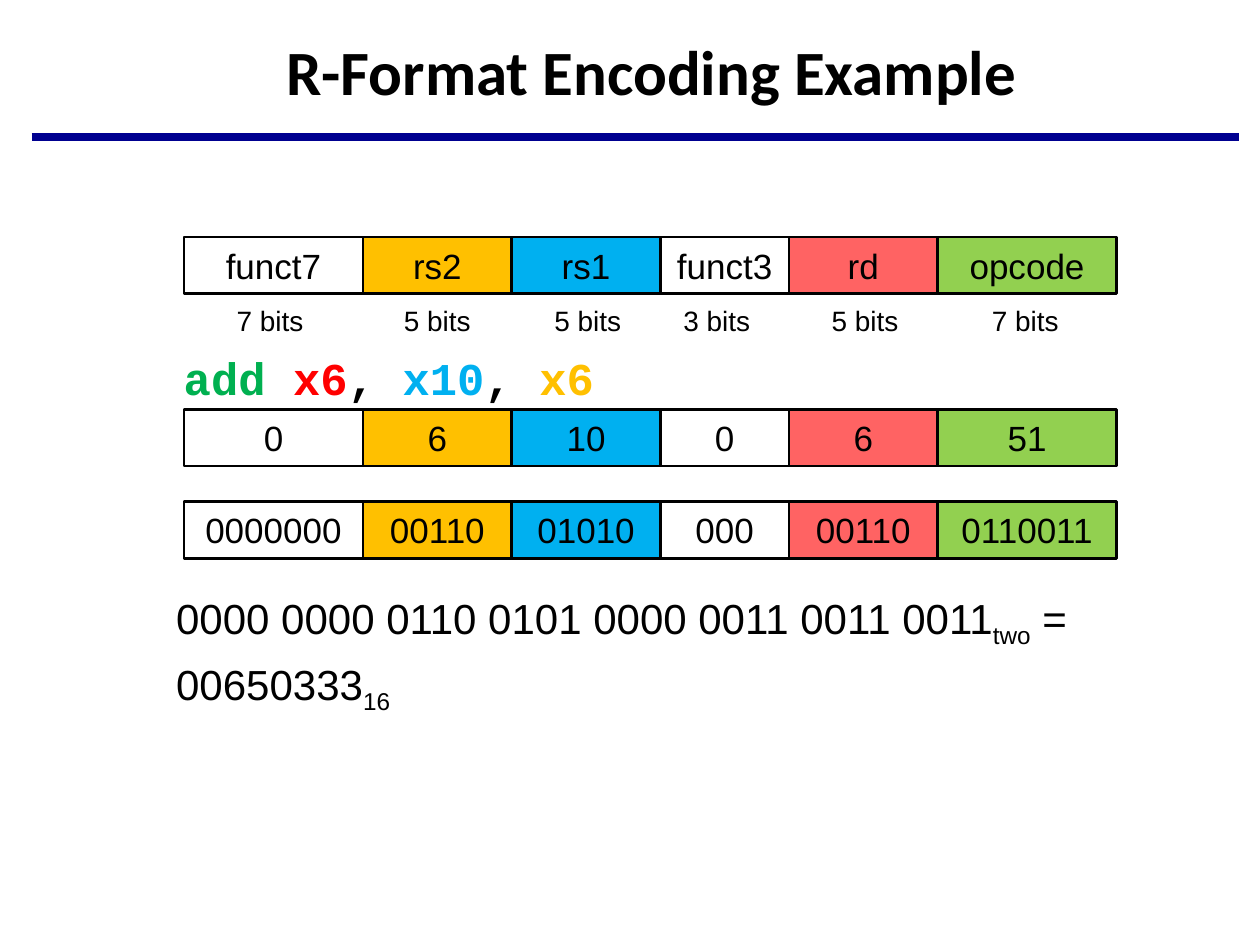
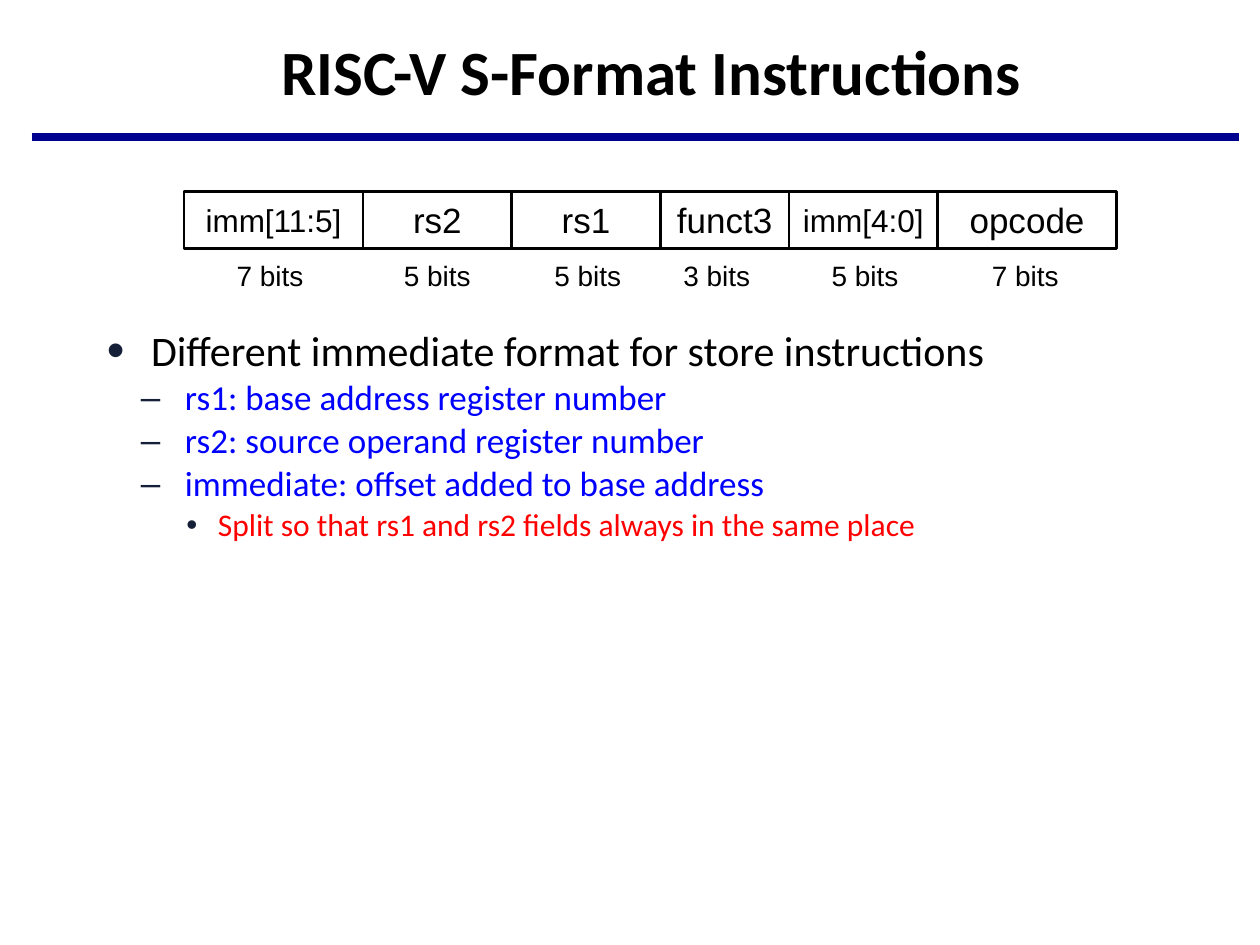
from collections import namedtuple

from lxml import etree
from pptx import Presentation
from pptx.dml.color import RGBColor
from pptx.enum.shapes import MSO_CONNECTOR, MSO_SHAPE
from pptx.enum.text import MSO_ANCHOR, PP_ALIGN
from pptx.oxml.ns import qn
from pptx.util import Pt

STRAIGHT = MSO_CONNECTOR.STRAIGHT
RECTANGLE = MSO_SHAPE.RECTANGLE
TOP, MIDDLE = MSO_ANCHOR.TOP, MSO_ANCHOR.MIDDLE
LEFT, CENTER = PP_ALIGN.LEFT, PP_ALIGN.CENTER

BLACK, NAVY, INK = "000000", "000090", "151F37"
GREEN, RED, SKY, AMBER, LIME, BLUE = "00B050", "FF0000", "00B0F0", "FFC000", "92D050", "0000FF"

Field = namedtuple("Field", "width bits fill alpha label_shift")
FIELDS = [
    Field(102.2, 7, None, None, -2),
    Field(85, 5, AMBER, None, 0),
    Field(85, 5, SKY, None, 1),
    Field(73.4, 3, None, None, -4.5),
    Field(85, 5, RED, 61, 1),
    Field(102.2, 7, LIME, None, -1),
]
FIELDS_LEFT = 105.2
CELL_HEIGHT = 32.4

Level = namedtuple("Level", "bullet size color margin hang before bullet_size")
LEVELS = [
    Level("•", 24, BLACK, 25.2, 25.2, 6, 120),
    Level("–", 20, BLUE, 44.6, 25.2, 3, 100),
    Level("•", 18, RED, 63.4, 18, 3, 100),
]


def rgb(value):
    return RGBColor.from_string(value)


def add_text(p, text, size=20, font="Arial", color=BLACK, bold=False, baseline=0):
    r = p.add_run()
    r.text = text
    r.font.size = Pt(size)
    r.font.name = font
    r.font.bold = bold
    r.font.color.rgb = rgb(color)
    if baseline:
        r.font._element.set("baseline", str(baseline * 1000))


def add_bullet(p, level):
    pPr = p._p.get_or_add_pPr()
    pPr.set("marL", str(Pt(level.margin)))
    pPr.set("indent", str(-Pt(level.hang)))
    clr = etree.SubElement(pPr, qn("a:buClr"))
    etree.SubElement(clr, qn("a:srgbClr"), val=INK)
    etree.SubElement(pPr, qn("a:buSzPct"), val=str(level.bullet_size * 1000))
    etree.SubElement(pPr, qn("a:buFont"), typeface="Arial")
    etree.SubElement(pPr, qn("a:buChar"), char=level.bullet)


class Deck:
    def __init__(self):
        self.prs = Presentation()
        self.prs.slide_width, self.prs.slide_height = Pt(720), Pt(540)
        self.s = None

    def slide(self, title):
        self.s = self.prs.slides.add_slide(self.prs.slide_layouts[6])
        self.rule(18, 708, 78.5)
        tf = self.box(36.7, 12.2, 671, 56.2, anchor=MIDDLE)
        self.line(tf, [(title, {})], align=CENTER, size=36, font="Calibri", bold=True)

    def rule(self, left, right, y):
        sp = self.s.shapes.add_connector(STRAIGHT, Pt(left), Pt(y), Pt(right), Pt(y))
        sp.line.color.rgb = rgb(NAVY)
        sp.line.width = Pt(4.5)
        etree.SubElement(sp._element.spPr, qn("a:effectLst"))

    def box(self, left, top, width, height, anchor=TOP, wrap=True):
        sp = self.s.shapes.add_textbox(Pt(left), Pt(top), Pt(width), Pt(height))
        tf = sp.text_frame
        tf.word_wrap = wrap
        tf.vertical_anchor = anchor
        return tf

    def line(self, tf, runs, align=LEFT, before=0, **style):
        p = tf.paragraphs[0]
        if p.runs:
            p = tf.add_paragraph()
        p.alignment = align
        p.space_before = Pt(before)
        for text, change in runs:
            add_text(p, text, **{**style, **change})
        return p

    def cell(self, left, top, width, text, fill=None, alpha=None, size=20):
        sp = self.s.shapes.add_shape(RECTANGLE, Pt(left), Pt(top), Pt(width), Pt(CELL_HEIGHT))
        sp.shadow.inherit = False
        sp.line.color.rgb = rgb(BLACK)
        sp.line.width = Pt(1.5)
        if fill:
            sp.fill.solid()
            sp.fill.fore_color.rgb = rgb(fill)
        else:
            sp.fill.background()
        if alpha:
            clr = sp._element.spPr.find(qn("a:solidFill")).find(qn("a:srgbClr"))
            etree.SubElement(clr, qn("a:alpha"), val=str(alpha * 1000))
        tf = sp.text_frame
        tf.margin_left = tf.margin_right = 0
        tf.vertical_anchor = MIDDLE
        self.line(tf, [(text, {})], align=CENTER, size=size)

    def word(self, top, texts, colored=True, labels=False):
        left = FIELDS_LEFT
        for field, text in zip(FIELDS, texts):
            fill, alpha = (field.fill, field.alpha) if colored else (None, None)
            size = 18 if text.startswith("imm") else 20
            self.cell(left, top, field.width, text, fill, alpha, size)
            if labels:
                middle = left + field.width / 2 + field.label_shift
                tf = self.box(middle - 26.5, top + 34.6, 53, 26.6, wrap=False)
                self.line(tf, [(f"{field.bits} bits", {})], align=CENTER, size=16)
            left += field.width

    def bullets(self, left, top, width, height, items):
        tf = self.box(left, top, width, height)
        for depth, text in items:
            level = LEVELS[depth]
            p = self.line(tf, [(text, {})], before=level.before,
                          size=level.size, font="Calibri", color=level.color)
            p.level = depth
            p.line_spacing = 0.9
            add_bullet(p, level)


def encoding_slide(deck):
    deck.slide("R-Format Encoding Example")
    instruction = [("add ", GREEN), ("x6", RED), (", ", BLACK),
                   ("x10", SKY), (", ", BLACK), ("x6", AMBER)]
    tf = deck.box(97.9, 196.6, 547, 51)
    deck.line(tf, [(text, {"color": color}) for text, color in instruction],
              before=6, size=26, font="Courier New", bold=True)

    deck.word(135.4, ["funct7", "rs2", "rs1", "funct3", "rd", "opcode"], labels=True)
    deck.word(234, ["0", "6", "10", "0", "6", "51"])
    deck.word(286.6, ["0000000", "00110", "01010", "000", "00110", "0110011"])

    sub = {"baseline": -25}
    tf = deck.box(93.6, 334.8, 571.7, 73.4)
    deck.line(tf, [("0000 0000 0110 0101 0000 0011 0011 0011", {}), ("two", sub), (" =", {})],
              before=5, size=24)
    deck.line(tf, [("00650333", {}), ("16", sub)], before=5, size=24)


def s_format_slide(deck):
    deck.slide("RISC-V S-Format Instructions")
    deck.bullets(54, 185, 651.6, 306, [
        (0, "Different immediate format for store instructions"),
        (1, "rs1: base address register number"),
        (1, "rs2: source operand register number"),
        (1, "immediate: offset added to base address"),
        (2, "Split so that rs1 and rs2 fields always in the same place"),
    ])
    deck.word(109.5, ["imm[11:5]", "rs2", "rs1", "funct3", "imm[4:0]", "opcode"],
              colored=False, labels=True)


def main():
    deck = Deck()
    encoding_slide(deck)
    s_format_slide(deck)
    deck.prs.save("out.pptx")


if __name__ == "__main__":
    main()
